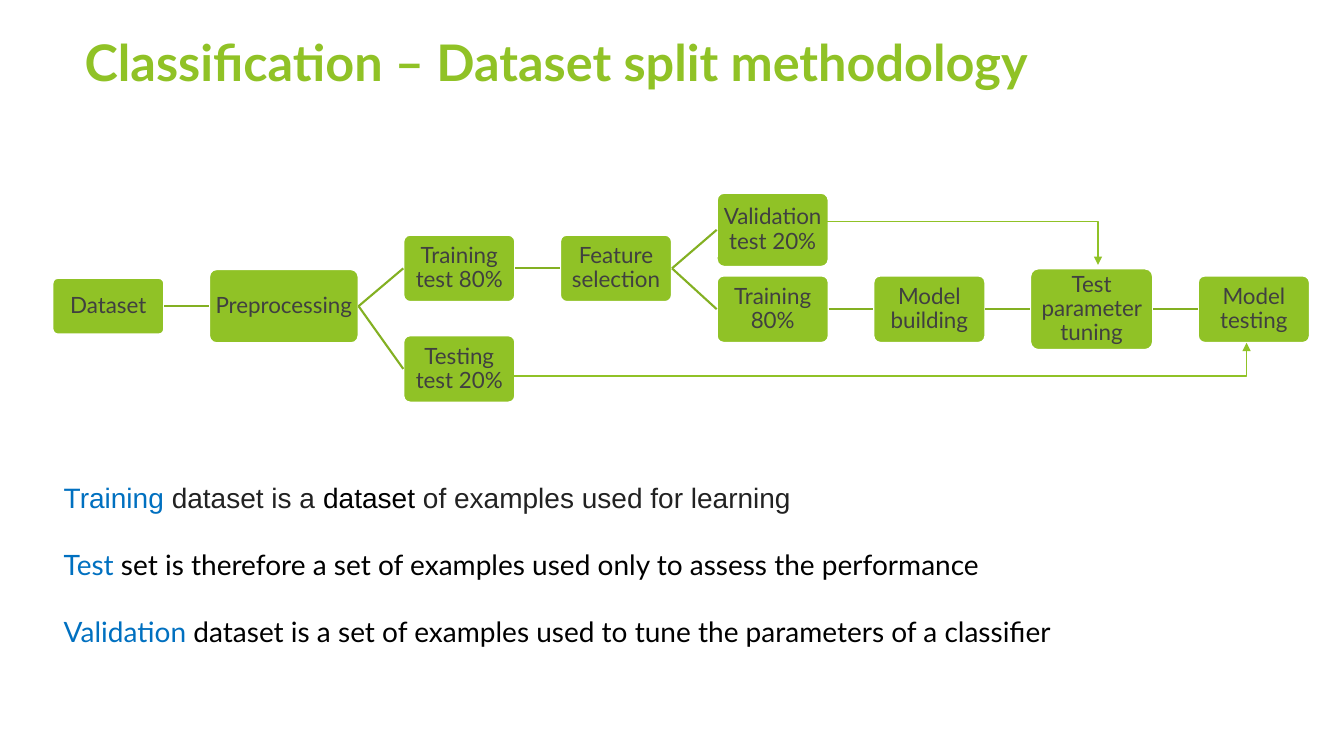
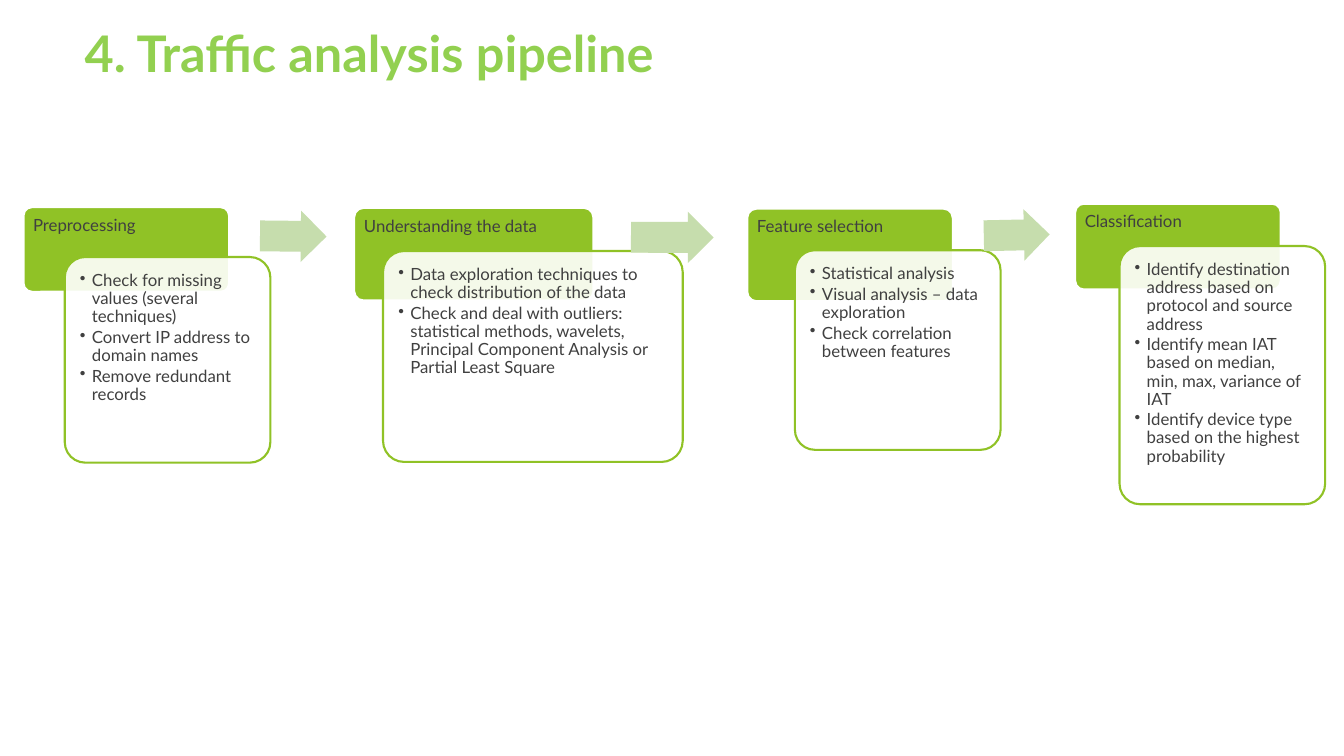
from dataclasses import dataclass
from typing import NamedTuple

from lxml import etree
from pptx import Presentation
from pptx import util as u
from pptx.dml.color import RGBColor
from pptx.enum import shapes, text
from pptx.oxml.ns import qn

SLIDE_WIDTH, SLIDE_HEIGHT = u.Inches(13.33), u.Inches(7.5)
GREEN, LIGHT_GREEN, LINK_GREEN, ARROW_GREEN = "90C226", "92D050", "83B022", "C6DDAD"
WHITE, BLACK, DARK_GREY, NEAR_BLACK, BLUE = "FFFFFF", "000000", "404040", "222222", "0070C0"
FONT = "Lato"
OUTLINE = 1.5
TITLE_ONLY_LAYOUT = 5
TOP, RIGHT, BOTTOM, LEFT = 0, 3, 2, 1  # connection sites of a rounded rectangle


class Area(NamedTuple):
    """Left, top, width and height as percentages of the slide."""
    left: float
    top: float
    width: float
    height: float


@dataclass
class Step:
    label: str
    column: int
    middle: float
    height: float
    parent: str = ""


@dataclass
class Elbow:
    start: tuple[float, float]
    end: tuple[float, float]


@dataclass
class Stage:
    name: str
    header: Area
    card: Area
    points: list[str]


@dataclass
class NextArrow:
    area: Area
    rotation: float


# Flow chart: equal gaps between columns of the given widths
FLOW_LEFT, FLOW_GAP = 3.9, 3.33
COLUMN_WIDTHS = [8.33, 11.12, 8.33, 8.33, 8.33, 8.33, 9.15, 8.33]
STEPS = [
    Step("Dataset", 0, 40.5, 7.5),
    Step("Preprocessing", 1, 40.5, 9.8, "Dataset"),
    Step("Training test 80%", 2, 35.5, 8.9, "Preprocessing"),
    Step("Feature selection", 3, 35.5, 8.9, "Training test 80%"),
    Step("Validation test 20%", 4, 30.4, 9.8, "Feature selection"),
    Step("Training 80%", 4, 40.9, 8.9, "Feature selection"),
    Step("Model building", 5, 40.9, 8.9, "Training 80%"),
    Step("Test parameter tuning", 6, 40.9, 10.8, "Model building"),
    Step("Model testing", 7, 40.9, 8.9, "Test parameter tuning"),
    Step("Testing test 20%", 2, 48.8, 8.9, "Preprocessing"),
]
ELBOWS = [Elbow((61.35, 29.33), (81.7, 35.05)), Elbow((38, 49.75), (92.75, 45.35))]

# Each definition is a list of (text, colour, font) runs
DEFINITIONS = [
    [("Training", BLUE, "Arial"), (" dataset is a ", NEAR_BLACK, "Arial"),
     ("dataset", BLACK, "Arial"), (" of examples used for learning", NEAR_BLACK, "Arial")],
    [("Test", BLUE, FONT),
     (" set is therefore a set of examples used only to assess the performance", BLACK, FONT)],
    [("Validation", BLUE, FONT),
     (" dataset is a set of examples used to tune the parameters of a classifier", BLACK, FONT)],
]

STAGES = [
    Stage("Preprocessing", Area(1.75, 27.4, 15.3, 11.2), Area(4.82, 34, 15.3, 27.2),
          ["Check for missing values (several techniques)",
           "Convert IP address to domain names",
           "Remove redundant records"]),
    Stage("Understanding the data", Area(26.35, 27.5, 17.8, 12.25), Area(28.5, 33.2, 22.3, 27.9),
          ["Data exploration techniques to check distribution of the data",
           "Check and deal with outliers: statistical methods, wavelets, "
           "Principal Component Analysis or Partial Least Square"]),
    Stage("Feature selection", Area(55.6, 27.6, 15.3, 12.25), Area(59.15, 33.1, 15.3, 26.4),
          ["Statistical analysis",
           "Visual analysis – data exploration",
           "Check correlation between features"]),
    Stage("Classification", Area(80, 26.95, 15.3, 11.35), Area(83.3, 32.55, 15.3, 34.15),
          ["Identify destination address based on protocol and source address",
           "Identify mean IAT based on median, min, max, variance of IAT",
           "Identify device type based on the highest probability"]),
]
NEXT_ARROWS = [
    NextArrow(Area(19.35, 27.85, 4.95, 6.8), 0.6),
    NextArrow(Area(46.95, 28, 6.15, 6.8), 0.1),
    NextArrow(Area(73.2, 27.7, 4.9, 6.8), 358.8),
]


def across(share: float) -> int:
    return round(SLIDE_WIDTH * share / 100)


def down(share: float) -> int:
    return round(SLIDE_HEIGHT * share / 100)


def place(area: Area) -> tuple[int, int, int, int]:
    return across(area.left), down(area.top), across(area.width), down(area.height)


def apply(target, formats: dict) -> None:
    for attribute, value in formats.items():
        setattr(target, attribute, value)


def paint(color_format, colour: str) -> None:
    color_format.rgb = RGBColor.from_string(colour)


def style_font(font, size: float, colour: str, name: str = FONT, bold: bool = False) -> None:
    apply(font, {"size": u.Pt(size), "name": name, "bold": bold})
    paint(font.color, colour)


def add_title(slide, words: str, area: Area, colour: str) -> None:
    title = slide.shapes.title
    apply(title, dict(zip(("left", "top", "width", "height"), place(area))))
    frame = title.text_frame
    frame.text = words
    apply(frame, {"vertical_anchor": text.MSO_ANCHOR.TOP, "word_wrap": True,
                  "auto_size": text.MSO_AUTO_SIZE.NONE})
    paragraph = frame.paragraphs[0]
    paragraph.alignment = text.PP_ALIGN.LEFT
    style_font(paragraph.runs[0].font, 36, colour, bold=True)


def add_panel(slide, area: Area, fill: str, outline: str = "",
              preset=shapes.MSO_SHAPE.ROUNDED_RECTANGLE, adjustments=(0.1,)):
    panel = slide.shapes.add_shape(preset, *place(area))
    panel.shadow.inherit = False
    for index, value in enumerate(adjustments):
        panel.adjustments[index] = value
    panel.fill.solid()
    paint(panel.fill.fore_color, fill)
    if outline:
        paint(panel.line.color, outline)
        panel.line.width = u.Pt(OUTLINE)
    else:
        panel.line.fill.background()
    return panel


def make_translucent(panel, opacity: int) -> None:
    for colour in panel.element.spPr.find(qn("a:solidFill")):
        etree.SubElement(colour, qn("a:alpha"), val=str(opacity * 1000))


def add_bullet(paragraph, indent: float) -> None:
    properties = paragraph._p.get_or_add_pPr()
    properties.set("marL", str(u.Inches(indent)))
    properties.set("indent", str(-u.Inches(indent)))
    etree.SubElement(properties, qn("a:buChar"), char="•")


def write(panel, lines: list[str], size: float, inset: float, anchor=text.MSO_ANCHOR.TOP,
          alignment=text.PP_ALIGN.LEFT, bulleted: bool = False) -> None:
    frame = panel.text_frame
    margins = {f"margin_{side}": u.Inches(inset) for side in ("left", "top", "right", "bottom")}
    apply(frame, {**margins, "word_wrap": True, "vertical_anchor": anchor})
    for index, line in enumerate(lines):
        paragraph = frame.add_paragraph() if index else frame.paragraphs[0]
        if bulleted:
            add_bullet(paragraph, 0.12)
        apply(paragraph, {"alignment": alignment, "line_spacing": 0.9,
                          "space_after": u.Pt(1.8 if bulleted else 0)})
        run = paragraph.add_run()
        run.text = line
        style_font(run.font, size, DARK_GREY)


def add_line(slide, kind, start: tuple[float, float], end: tuple[float, float],
             colour: str, width: float):
    line = slide.shapes.add_connector(kind, across(start[0]), down(start[1]),
                                      across(end[0]), down(end[1]))
    paint(line.line.color, colour)
    line.line.width = u.Pt(width)
    etree.SubElement(line.element.spPr, qn("a:effectLst"))
    return line


def add_elbow(slide, elbow: Elbow) -> None:
    """Draw an arrow that runs level to its end column, then turns."""
    line = add_line(slide, shapes.MSO_CONNECTOR.ELBOW, elbow.start, elbow.end, GREEN, 1)
    geometry = line.element.spPr.find(qn("a:prstGeom"))
    guides = geometry.find(qn("a:avLst"))
    if guides is None:
        guides = etree.SubElement(geometry, qn("a:avLst"))
    etree.SubElement(guides, qn("a:gd"), name="adj1", fmla="val 100000")
    etree.SubElement(line.line._get_or_add_ln(), qn("a:tailEnd"), type="triangle")


def add_flow(slide) -> None:
    boxes = {}
    for step in STEPS:
        left = FLOW_LEFT + sum(COLUMN_WIDTHS[:step.column]) + FLOW_GAP * step.column
        area = Area(left, step.middle - step.height / 2, COLUMN_WIDTHS[step.column], step.height)
        box = add_panel(slide, area, GREEN, WHITE)
        write(box, [step.label], 16, 0.01, text.MSO_ANCHOR.MIDDLE, text.PP_ALIGN.CENTER)
        boxes[step.label] = box
        if step.parent:
            link = add_line(slide, shapes.MSO_CONNECTOR.STRAIGHT, (0, 0), (0, 0),
                            LINK_GREEN, OUTLINE)
            link.begin_connect(boxes[step.parent], RIGHT)
            link.end_connect(box, LEFT)
    for elbow in ELBOWS:
        add_elbow(slide, elbow)


def add_definitions(slide, area: Area) -> None:
    frame = slide.shapes.add_textbox(*place(area)).text_frame
    frame.word_wrap = True
    for index, definition in enumerate(DEFINITIONS):
        paragraph = frame.add_paragraph() if index else frame.paragraphs[0]
        paragraph.space_before = u.Pt(24 if index else 0)
        for words, colour, font_name in definition:
            run = paragraph.add_run()
            run.text = words
            style_font(run.font, 20, colour, font_name)


def add_stage(slide, stage: Stage) -> None:
    write(add_panel(slide, stage.header, GREEN, WHITE), [stage.name], 12, 0.07)
    card = add_panel(slide, stage.card, WHITE, GREEN)
    make_translucent(card, 90)
    write(card, stage.points, 12, 0.09, bulleted=True)


def add_pipeline(slide) -> None:
    for index, stage in enumerate(STAGES):
        add_stage(slide, stage)
        if index < len(NEXT_ARROWS):
            arrow = add_panel(slide, NEXT_ARROWS[index].area, ARROW_GREEN,
                              preset=shapes.MSO_SHAPE.RIGHT_ARROW, adjustments=(0.6, 0.5))
            arrow.rotation = NEXT_ARROWS[index].rotation


def main() -> None:
    deck = Presentation()
    apply(deck, {"slide_width": SLIDE_WIDTH, "slide_height": SLIDE_HEIGHT})
    layout = deck.slide_layouts[TITLE_ONLY_LAYOUT]

    methodology = deck.slides.add_slide(layout)
    add_title(methodology, "Classification – Dataset split methodology",
              Area(5.55, 3.5, 87.4, 11.6), GREEN)
    add_flow(methodology)
    add_definitions(methodology, Area(4, 62.9, 79.4, 23.7))

    pipeline = deck.slides.add_slide(layout)
    add_title(pipeline, "4. Traffic analysis pipeline", Area(5.55, 2.25, 70.5, 12.1), LIGHT_GREEN)
    add_pipeline(pipeline)

    deck.save("out.pptx")


if __name__ == "__main__":
    main()
